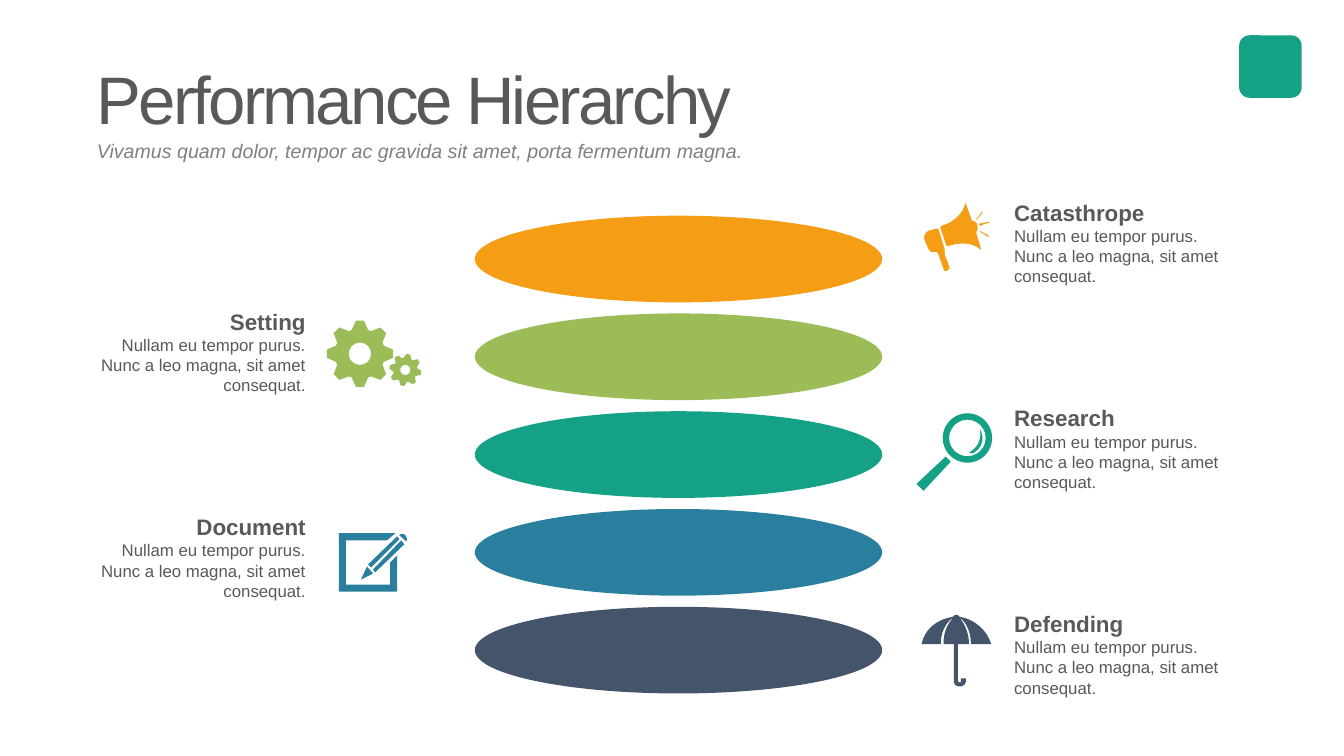
from dataclasses import dataclass
from math import cos, radians, sin

from pptx import Presentation
from pptx.dml.color import RGBColor
from pptx.enum.shapes import MSO_SHAPE
from pptx.enum.text import MSO_ANCHOR, MSO_AUTO_SIZE, PP_ALIGN
from pptx.util import Inches, Pt


@dataclass(frozen=True)
class Theme:
    font: str = "Arial"
    text: str = "595959"
    muted: str = "808080"
    orange: str = "F49D15"
    green: str = "9BBC57"
    teal: str = "15A185"
    blue: str = "297F9D"
    navy: str = "44546A"
    title: int = 48
    subtitle: int = 14
    heading: int = 16
    body: int = 12


THEME = Theme()
BODY = "Nullam eu tempor purus. Nunc a leo magna, sit amet consequat."
LAYERS = [
    ("Catasthrope", THEME.orange),
    ("Setting", THEME.green),
    ("Research", THEME.teal),
    ("Document", THEME.blue),
    ("Defending", THEME.navy),
]

MEGAPHONE = [
    [(9.37, 2.51), (9.37, 2.47), (9.31, 2.28), (9.31, 2.28, 9.3, 2.26, 9.28, 2.27),
     (9.21, 2.29), (9.21, 2.29, 9.15, 2.32, 9.17, 2.38), (9.2, 2.45),
     (9.2, 2.45, 9.22, 2.52, 9.27, 2.5), (9.27, 2.5, 9.3, 2.49, 9.31, 2.53),
     (9.36, 2.67), (9.36, 2.67, 9.36, 2.69, 9.38, 2.69),
     (9.38, 2.69, 9.45, 2.67, 9.4, 2.62), (9.41, 2.59, 9.37, 2.56, 9.37, 2.51)],
    [(9.68, 2.3), (9.7, 2.29, 9.7, 2.26, 9.69, 2.23), (9.69, 2.21, 9.67, 2.19, 9.64, 2.19),
     (9.58, 2.02), (9.58, 2, 9.57, 2.03, 9.57, 2.03), (9.53, 2.19, 9.34, 2.24, 9.34, 2.24),
     (9.32, 2.25, 9.33, 2.27, 9.33, 2.27), (9.38, 2.42),
     (9.39, 2.45, 9.41, 2.44, 9.41, 2.44), (9.61, 2.37, 9.72, 2.47, 9.72, 2.47),
     (9.72, 2.47, 9.74, 2.49, 9.73, 2.47)],
    [(9.75, 2.1), (9.74, 2.1), (9.68, 2.18), (9.69, 2.18)],
    [(9.72, 2.3), (9.8, 2.35), (9.81, 2.34), (9.72, 2.29)],
    [(9.72, 2.24), (9.81, 2.21), (9.81, 2.2), (9.71, 2.22)],
]
MAGNIFIER = [
    [(9.09, 4.8), (9.16, 4.87), (9.43, 4.58), (9.38, 4.53)],
    [(9.72, 4.26), (9.75, 4.43, 9.61, 4.49, 9.61, 4.49), (9.65, 4.5),
     (9.81, 4.4, 9.72, 4.26, 9.72, 4.26)],
]
NOTEPAD = [
    [(3.7, 5.69), (3.64, 5.62), (3.58, 5.75)],
    [(3.94, 5.32), (3.65, 5.6), (3.68, 5.63), (3.96, 5.35)],
    [(3.7, 5.65), (3.72, 5.68), (4.01, 5.4), (3.98, 5.36)],
    [(4.02, 5.31), (3.99, 5.28, 3.96, 5.31, 3.96, 5.31), (4.03, 5.37),
     (4.03, 5.37, 4.05, 5.35, 4.02, 5.31)],
    [(3.87, 5.8), (3.43, 5.8), (3.43, 5.36), (3.84, 5.36), (3.92, 5.29), (3.36, 5.29),
     (3.36, 5.87), (3.94, 5.87), (3.94, 5.51), (3.87, 5.58)],
]
UMBRELLA = [
    [(9.63, 6.39), (9.83, 6.39), (9.79, 6.25, 9.66, 6.14, 9.52, 6.12),
     (9.51, 6.11, 9.5, 6.1, 9.48, 6.1), (9.47, 6.1, 9.46, 6.11, 9.45, 6.12),
     (9.3, 6.14, 9.17, 6.24, 9.14, 6.39), (9.33, 6.39), (9.33, 6.22, 9.43, 6.14, 9.45, 6.13),
     (9.34, 6.26, 9.36, 6.39, 9.36, 6.39), (9.46, 6.39), (9.46, 6.75),
     (9.46, 6.79, 9.48, 6.81, 9.52, 6.81), (9.55, 6.81, 9.58, 6.79, 9.58, 6.75),
     (9.58, 6.73), (9.53, 6.73), (9.53, 6.75), (9.53, 6.76, 9.53, 6.77, 9.52, 6.77),
     (9.51, 6.77, 9.5, 6.76, 9.5, 6.75), (9.5, 6.39), (9.61, 6.39),
     (9.61, 6.39, 9.62, 6.26, 9.52, 6.13), (9.54, 6.14, 9.63, 6.22, 9.63, 6.39)],
]


def paint(shape, color):
    shape.shadow.inherit = False
    shape.fill.solid()
    shape.fill.fore_color.rgb = RGBColor.from_string(color)
    shape.line.fill.background()


def add_preset(page, kind, left, top, width, height, color):
    shape = page.shapes.add_shape(
        kind, Inches(left), Inches(top), Inches(width), Inches(height))
    paint(shape, color)
    return shape


def flatten(outline, steps=8):
    points = [outline[0]]
    for segment in outline[1:]:
        if len(segment) == 2:
            points.append(segment)
            continue
        start, first, second, end = points[-1], segment[:2], segment[2:4], segment[4:]
        for step in range(1, steps + 1):
            t = step / steps
            points.append(tuple(
                (1 - t) ** 3 * a + 3 * t * (1 - t) ** 2 * b + 3 * t * t * (1 - t) * c + t ** 3 * d
                for a, b, c, d in zip(start, first, second, end)))
    return points


def add_outline(page, contours, color):
    scaled = [[(Inches(x), Inches(y)) for x, y in contour] for contour in contours]
    builder = page.shapes.build_freeform(*scaled[0][0])
    builder.add_line_segments(scaled[0][1:], close=True)
    for contour in scaled[1:]:
        builder.move_to(*contour[0])
        builder.add_line_segments(contour[1:], close=True)
    paint(builder.convert_to_shape(), color)


def add_icon(page, outlines, color):
    for outline in outlines:
        add_outline(page, [flatten(outline)], color)


def add_gear(page, x, y, outer, root, hole, tilt, color):
    def polar(radius, angle):
        return x + radius * sin(radians(angle)), y - radius * cos(radians(angle))

    teeth = [polar(radius, tilt + 45 * tooth + offset)
             for tooth in range(8)
             for radius, offset in ((root, -19), (outer, -7), (outer, 7), (root, 19))]
    bore = [polar(hole, angle) for angle in range(360, 0, -10)]
    add_outline(page, [teeth, bore], color)


def add_box(page, left, top, width, height, wrap=True):
    box = page.shapes.add_textbox(Inches(left), Inches(top), Inches(width), Inches(height))
    frame = box.text_frame
    frame.word_wrap = wrap
    frame.auto_size = MSO_AUTO_SIZE.SHAPE_TO_FIT_TEXT
    return frame


def set_text(para, text, size, color, bold=False, italic=False):
    para.text = text
    font = para.font
    font.name, font.size, font.bold, font.italic = THEME.font, Pt(size), bold, italic
    font.color.rgb = RGBColor.from_string(color)


def add_header(page):
    title = add_box(page, 0.89, 0.54, 6.47, 0.88, wrap=False)
    subtitle = add_box(page, 0.89, 1.34, 7, 0.3)
    subtitle.vertical_anchor = MSO_ANCHOR.MIDDLE
    for frame in (title, subtitle):
        frame.margin_left = frame.margin_right = Inches(0.07)
        frame.margin_top = frame.margin_bottom = Inches(0.03)
    set_text(title.paragraphs[0], "Performance Hierarchy", THEME.title, THEME.text)
    title.paragraphs[0].runs[0].font._element.set("spc", "-200")
    set_text(subtitle.paragraphs[0],
             "Vivamus quam dolor, tempor ac gravida sit amet, porta fermentum magna.",
             THEME.subtitle, THEME.muted, italic=True)


def add_layer(page, index, heading, color):
    add_preset(page, MSO_SHAPE.OVAL, 4.71, 2.14 + 0.97 * index, 4.04, 0.86, color)
    on_left = index % 2 == 1
    left, first_top = (0.85, 1.85) if on_left else (9.96, 1.79)
    frame = add_box(page, left, first_top + 1.02 * index, 2.28, 1.11)
    title, body = frame.paragraphs[0], frame.add_paragraph()
    title.line_spacing = 1.5
    set_text(title, heading, THEME.heading, THEME.text, bold=True)
    set_text(body, BODY, THEME.body, THEME.text)
    for para in (title, body):
        para.alignment = PP_ALIGN.RIGHT if on_left else PP_ALIGN.LEFT


def main():
    deck = Presentation()
    deck.slide_width, deck.slide_height = Inches(13.33), Inches(7.5)
    page = deck.slides.add_slide(deck.slide_layouts[6])
    add_preset(page, MSO_SHAPE.ROUNDED_RECTANGLE, 12.29, 0.35, 0.62, 0.62, THEME.teal)
    add_header(page)
    for index, (heading, color) in enumerate(LAYERS):
        add_layer(page, index, heading, color)
    add_icon(page, MEGAPHONE, THEME.orange)
    add_gear(page, 3.57, 3.51, 0.33, 0.25, 0.11, 0, THEME.green)
    add_gear(page, 4.02, 3.67, 0.16, 0.12, 0.05, 11, THEME.green)
    lens = add_preset(page, MSO_SHAPE.DONUT, 9.35, 4.1, 0.49, 0.49, THEME.teal)
    lens.adjustments[0] = 0.13
    add_icon(page, MAGNIFIER, THEME.teal)
    add_icon(page, NOTEPAD, THEME.blue)
    add_icon(page, UMBRELLA, THEME.navy)
    deck.save("out.pptx")


if __name__ == "__main__":
    main()
